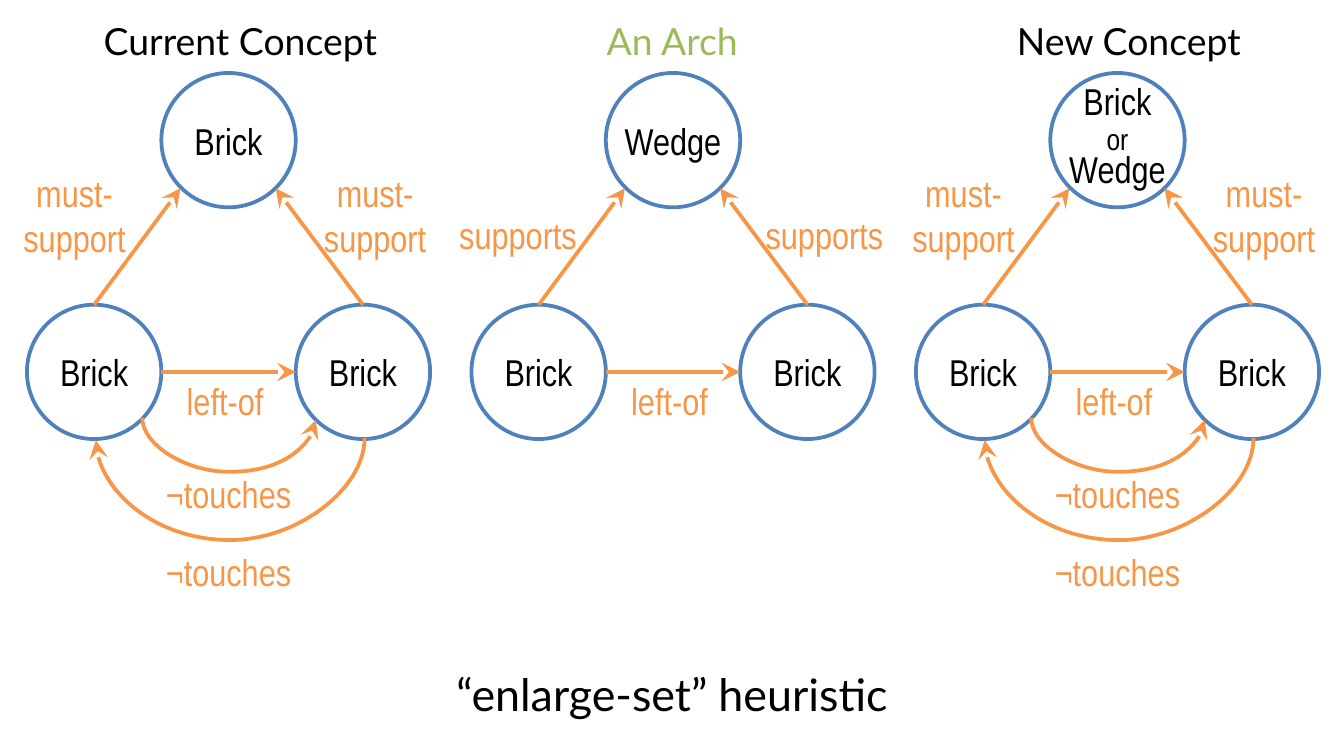
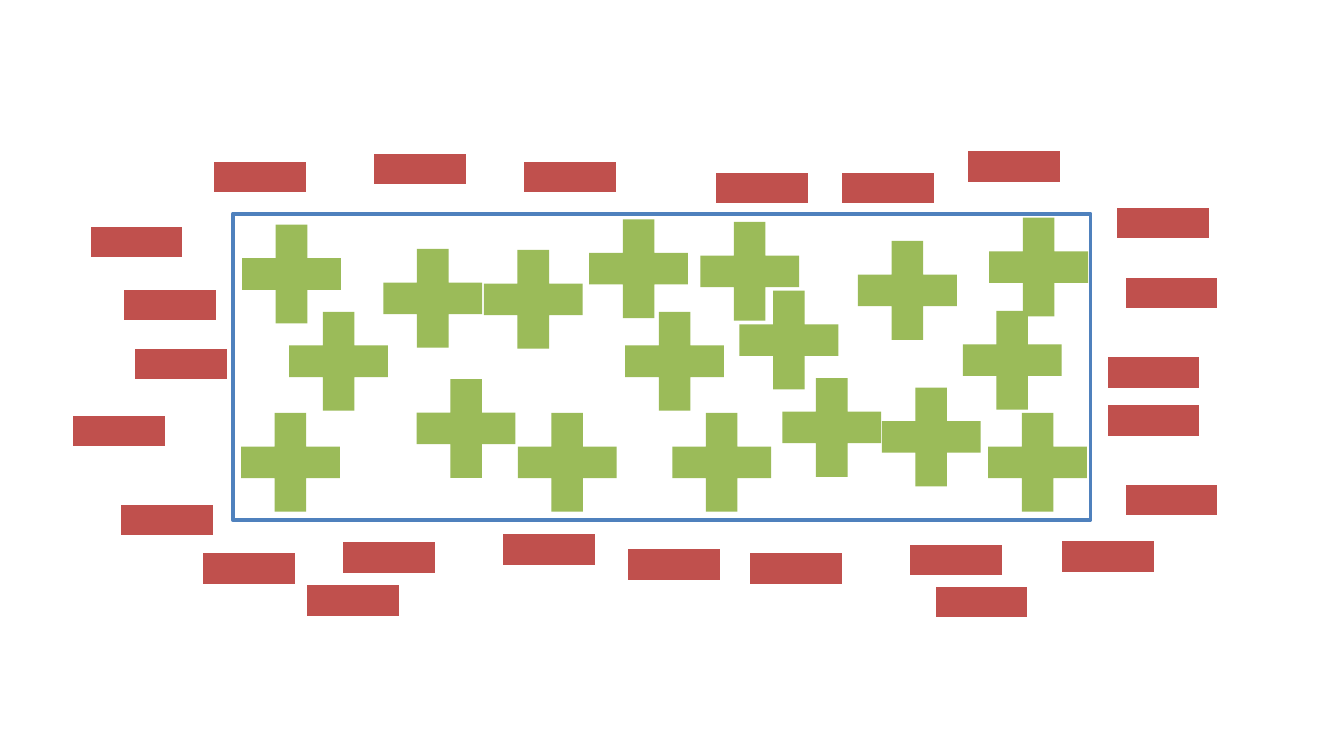
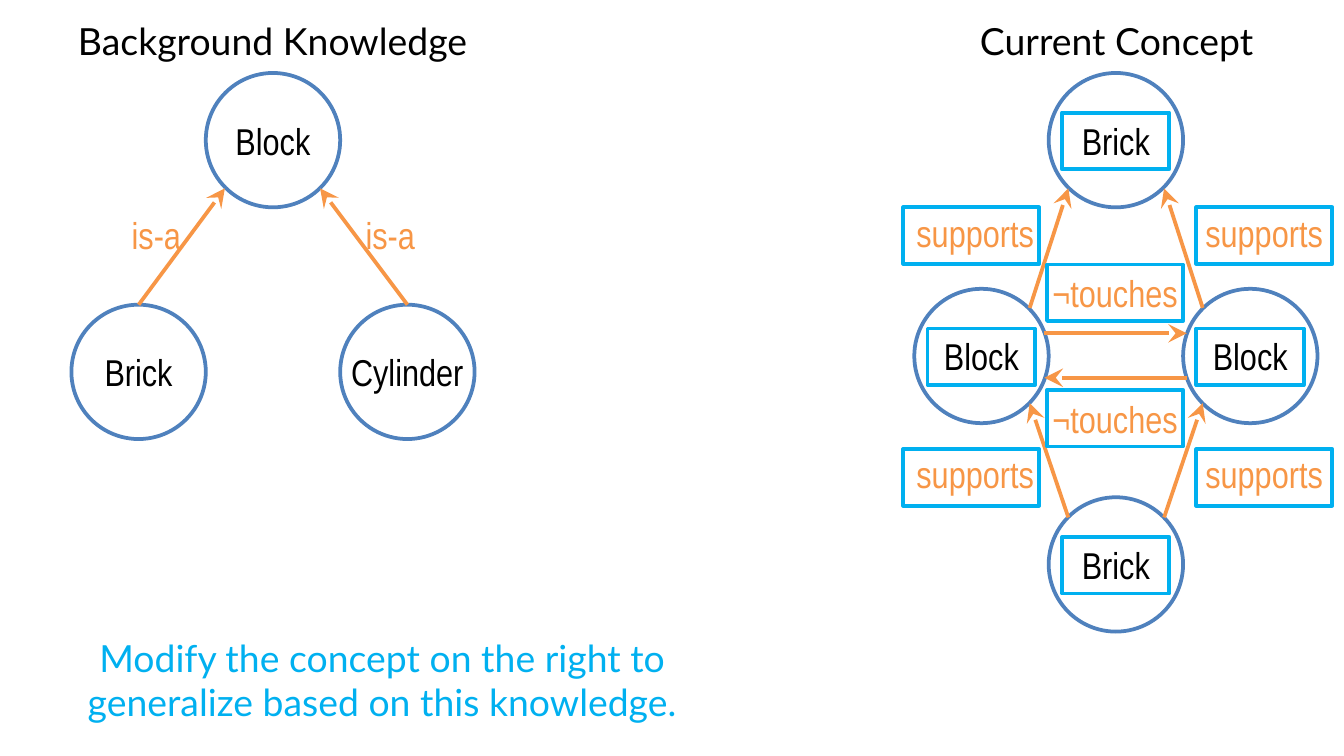
from lxml import etree
from pptx import Presentation
from pptx import util as u
from pptx.dml.color import RGBColor
from pptx.enum import shapes, text
from pptx.oxml import ns

BLACK = RGBColor(0x00, 0x00, 0x00)
WHITE = RGBColor(0xFF, 0xFF, 0xFF)
BLUE = RGBColor(0x4F, 0x81, 0xBD)
CYAN = RGBColor(0x00, 0xB0, 0xF0)
GREEN = RGBColor(0x9B, 0xBB, 0x59)
ORANGE = RGBColor(0xF7, 0x96, 0x46)
RED = RGBColor(0xC0, 0x50, 0x4D)
TITLE_FONT, LABEL_FONT = "Lato", "Arial Narrow"
CENTER, LEFT = text.PP_ALIGN.CENTER, text.PP_ALIGN.LEFT
KIND = shapes.MSO_SHAPE
NODE = 2.54  # diameter of a node in cm
APEX_TOP, FOOT_TOP = 1.38, 5.76
FOOT_MIDDLE = FOOT_TOP + NODE / 2


def add_box(page, place, words="", color=BLACK, font=LABEL_FONT, size=20,
            kind=None, fill=None, line=None, align=CENTER):
    """Text box, or a preset shape if a kind is given; place is in cm."""
    place = [u.Cm(length) for length in place]
    if kind is None:
        box = page.shapes.add_textbox(*place)
    else:
        box = page.shapes.add_shape(kind, *place)
        box.shadow.inherit = False
        if fill is None:
            box.fill.background()
        else:
            box.fill.solid()
            box.fill.fore_color.rgb = fill
        if line is None:
            box.line.fill.background()
        else:
            box.line.color.rgb = line
            box.line.width = u.Pt(2)
    if not words:
        return box
    frame = box.text_frame
    frame.word_wrap = font == TITLE_FONT
    if kind is not None:
        frame.vertical_anchor = text.MSO_ANCHOR.MIDDLE
        frame.margin_left = frame.margin_right = 0
        frame.margin_top = frame.margin_bottom = 0
    for number, paragraph in enumerate(words.split("\n")):
        para = frame.add_paragraph() if number else frame.paragraphs[0]
        para.alignment = align
        for row, part in enumerate(paragraph.split("\v")):
            if row:
                para.add_line_break()
            span = para.add_run()
            span.text = part
            span.font.name = font
            span.font.size = u.Pt(size)
            span.font.color.rgb = color
    return box


def add_arrow(page, x1, y1, x2, y2, sag=0):
    """Straight arrow, or with a sag a curve hanging that far below its start."""
    kind = shapes.MSO_CONNECTOR.STRAIGHT
    ends = x1, y1, x2, y2
    if sag:
        # The curve is laid out upright and then turned by a quarter
        kind = shapes.MSO_CONNECTOR.CURVE
        side = 1 if x2 > x1 else -1
        middle_x, middle_y = (x1 + x2) / 2, (y1 + y2) / 2
        half_drop, half_span = (y2 - y1) / 2, abs(x2 - x1) / 2
        ends = (middle_x + side * half_drop, middle_y - half_span,
                middle_x - side * half_drop, middle_y + half_span)
    arrow = page.shapes.add_connector(kind, *[u.Cm(end) for end in ends])
    arrow.line.color.rgb = ORANGE
    arrow.line.width = u.Pt(2)
    properties = arrow._element.spPr
    etree.SubElement(properties.find(ns.qn("a:ln")), ns.qn("a:tailEnd"),
                     type="stealth", w="lg", len="lg")
    etree.SubElement(properties, ns.qn("a:effectLst"))
    if sag:
        degrees = 270 if side > 0 else 90
        properties.find(ns.qn("a:xfrm")).set("rot", str(degrees * 60000))
        guides = properties.find(ns.qn("a:prstGeom")).find(ns.qn("a:avLst"))
        share = round(sag / (y2 - y1) * 100000)
        etree.SubElement(guides, ns.qn("a:gd"), name="adj1", fmla=f"val {share}")
    return arrow


deck = Presentation()
deck.slide_width, deck.slide_height = u.Cm(25.4), u.Cm(14.29)
heuristic_page, region_page, knowledge_page = [
    deck.slides.add_slide(deck.slide_layouts[6]) for _ in range(3)]

# Titles above the networks
titles = [
    (heuristic_page, 0.48, 8.13, "Current Concept", BLACK),
    (heuristic_page, 8.64, 8.13, "An Arch", GREEN),
    (heuristic_page, 17.27, 8.13, "New Concept", BLACK),
    (knowledge_page, 0.56, 9.19, "Background Knowledge", BLACK),
    (knowledge_page, 17.04, 8.13, "Current Concept", BLACK),
]
for page, left, width, words, color in titles:
    add_box(page, (left, 0.21, width, 1.02), words, color, TITLE_FONT)

# Networks of one top node over two feet
MUST = ("must-\vsupport", CENTER, -0.5, 5.18, 3.1, 2.8, 1.8)
SUPPORTS = ("supports", LEFT, -0.48, 5.31, 3.89, 2.77, 1.12)
IS_A = ("is-a", LEFT, 0.89, 5.31, 3.89, 1.45, 1.12)
networks = [
    (heuristic_page, 0.51, "Brick", "Brick", MUST),
    (heuristic_page, 8.91, "Wedge", "Brick", SUPPORTS),
    (heuristic_page, 17.31, "Brick\nor\nWedge", "Brick", MUST),
    (knowledge_page, 1.35, "Block", "Cylinder", IS_A),
]
for page, left, top_word, right_word, link in networks:
    nodes = [
        add_box(page, (left + column * NODE, top, NODE, NODE), words,
                kind=KIND.OVAL, fill=WHITE, line=BLUE)
        for column, top, words in [(1, APEX_TOP, top_word), (0, FOOT_TOP, "Brick"),
                                   (2, FOOT_TOP, right_word)]]
    if "\n" in top_word:
        paras = nodes[0].text_frame.paragraphs
        for para in paras:
            para.line_spacing = u.Pt(18)
        paras[1].runs[0].font.size = u.Pt(16)

    # Links from the feet to the top node
    words, align, left_shift, right_shift, top, width, height = link
    for foot, start, end, shift in [(nodes[1], 1.27, 2.9, left_shift),
                                    (nodes[2], 6.35, 4.7, right_shift)]:
        arrow = add_arrow(page, left + start, FOOT_TOP, left + end, 3.56)
        arrow.begin_connect(foot, 0)
        add_box(page, (left + shift, top, width, height), words, ORANGE, align=align)

    # Links between the feet
    if page is heuristic_page:
        add_arrow(page, left + NODE, FOOT_MIDDLE, left + 2 * NODE, FOOT_MIDDLE)
        add_box(page, (left + 2.41, FOOT_MIDDLE, 2.67, 1.02), "left-of", ORANGE)
    if link is MUST:
        add_arrow(page, left + 2.18, 7.9, left + 5.46, 7.94, sag=1.02)
        add_arrow(page, left + 6.38, 8.28, left + 1.3, 8.32, sag=1.93)
        for top in (8.79, 10.26):
            add_box(page, (left + 2.11, top, 3.4, 1.02), "¬touches", ORANGE)

add_box(heuristic_page, (0, 12.47, 25.4, 1.27), "“enlarge-set” heuristic",
        font=TITLE_FONT, size=24)

# Positive examples inside the region, negative ones around it
add_box(region_page, (4.4, 4.04, 16.21, 5.79), kind=KIND.RECTANGLE, line=BLUE)
pluses = [
    (4.24, 3.91), (6.91, 4.37), (8.81, 4.39), (10.8, 3.81), (12.9, 3.86),
    (15.88, 4.22), (18.36, 3.78), (5.13, 5.56), (11.48, 5.56), (13.64, 5.16),
    (17.86, 5.54), (4.22, 7.47), (7.54, 6.83), (9.45, 7.47), (12.37, 7.47),
    (14.45, 6.81), (16.33, 6.99), (18.34, 7.47),
]
minuses = [
    (3.73, 2.13), (6.76, 1.98), (9.6, 2.13), (13.23, 2.34), (15.6, 2.34),
    (17.98, 1.93), (1.4, 3.35), (2.03, 4.55), (2.24, 5.66), (1.07, 6.93),
    (1.98, 8.61), (3.53, 9.53), (5.49, 10.13), (6.17, 9.32), (9.19, 9.17),
    (11.56, 9.45), (13.87, 9.53), (16.89, 9.37), (17.37, 10.16), (19.76, 9.3),
    (20.8, 3.0), (20.96, 4.32), (20.62, 5.82), (20.62, 6.73), (20.96, 8.23),
]
for places, kind, color, width, height in [
        (pluses, KIND.MATH_PLUS, GREEN, 2.54, 2.54),
        (minuses, KIND.MATH_MINUS, RED, 2.36, 2.44)]:
    for left, top in places:
        add_box(region_page, (left, top, width, height), kind=kind, fill=color)

# Concept to generalize: nodes with framed words
for left, top, words in [(19.82, APEX_TOP, "Brick"), (17.28, 5.46, "Block"),
                         (22.36, 5.46, "Block"), (19.82, 9.4, "Brick")]:
    add_box(knowledge_page, (left, top, NODE, NODE), words,
            kind=KIND.OVAL, fill=WHITE, line=BLUE)
    add_box(knowledge_page, (left + 0.25, top + 0.75, 2.03, 1.07),
            kind=KIND.RECTANGLE, line=CYAN)

# Concept to generalize: links with framed labels
for ends in [(22.43, 7.14, 19.74, 7.14), (19.74, 6.3, 22.43, 6.3),
             (20.19, 9.78, 19.46, 7.62), (22, 9.78, 22.73, 7.62),
             (19.46, 5.82, 20.19, 3.56), (22.73, 5.82, 22, 3.56)]:
    add_arrow(knowledge_page, *ends)
for label_left, frame_left in [(17.07, 17.07), (22.53, 22.61)]:
    for top in (3.84, 8.41):
        add_box(knowledge_page, (label_left, top, 2.77, 1.12), "supports",
                ORANGE, align=LEFT)
        add_box(knowledge_page, (frame_left, top + 0.08, 2.57, 1.07),
                kind=KIND.RECTANGLE, line=CYAN)
for top in (5, 7.37):
    add_box(knowledge_page, (19.79, top, 2.57, 1.07), "¬touches", ORANGE,
            kind=KIND.RECTANGLE, line=CYAN)

# Task
task = add_box(knowledge_page, (0.28, 11.84, 13.89, 2.01),
               "Modify the concept on the right to generalize based on this knowledge.",
               CYAN, TITLE_FONT)
task.text_frame.vertical_anchor = text.MSO_ANCHOR.MIDDLE

deck.save("out.pptx")
